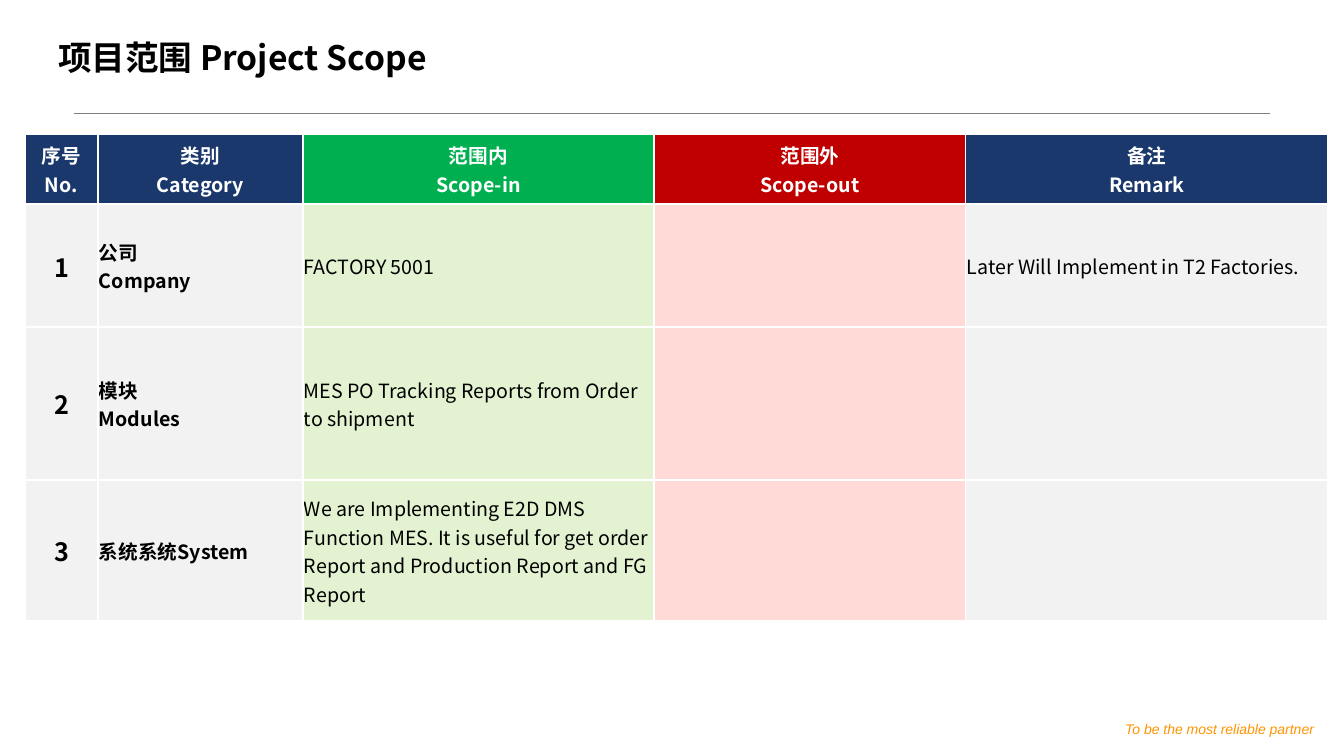
from lxml import etree
from pptx import Presentation
from pptx import util as u
from pptx.dml.color import RGBColor
from pptx.enum import shapes, text
from pptx.oxml import ns

PX = 914400 / 100.8  # EMU per px
CJK = "Noto Sans CJK SC"

BLACK = RGBColor(0x00, 0x00, 0x00)
WHITE = RGBColor(0xFF, 0xFF, 0xFF)
RULE_GREY = RGBColor(0x80, 0x80, 0x80)
ORANGE = RGBColor(0xFF, 0x93, 0x00)
NAVY = RGBColor(0x1A, 0x38, 0x6B)
GREEN = RGBColor(0x00, 0xB0, 0x50)
RED = RGBColor(0xC0, 0x00, 0x00)
PALE_GREY = RGBColor(0xF2, 0xF2, 0xF2)
PALE_GREEN = RGBColor(0xE3, 0xF3, 0xD1)
PALE_RED = RGBColor(0xFF, 0xDA, 0xD7)

HEADER_FILLS = [NAVY, NAVY, GREEN, RED, NAVY]
BODY_FILLS = [PALE_GREY, PALE_GREY, PALE_GREEN, PALE_RED, PALE_GREY]
COLUMN_WIDTHS = [73, 205, 351, 312, 362]
ROW_HEIGHTS = [70, 123, 153, 141]
SCOPE = [
    ["序号\nNo.", "类别\nCategory", "范围内\nScope-in", "范围外\nScope-out", "备注\nRemark"],
    ["1", "公司\nCompany", "FACTORY 5001", "", "Later Will Implement in T2 Factories."],
    ["2", "模块\nModules", "MES PO Tracking Reports from Order to shipment", "", ""],
    ["3", "系统系统System",
     "We are Implementing E2D DMS Function MES. It is useful for get order "
     "Report and Production Report and FG Report", "", ""],
]


def px(length):
    return u.Emu(round(length * PX))


def style(paragraph, name, size, color, bold=False, italic=False, align=None):
    paragraph.alignment = align
    font = paragraph.font
    font.size, font.bold, font.italic = u.Pt(size), bold, italic
    font.color.rgb = color
    font.name = name
    # East Asian characters take their own typeface entry
    defaults = paragraph._p.pPr.find(ns.qn("a:defRPr"))
    etree.SubElement(defaults, ns.qn("a:ea"), typeface=name)


def add_label(slide, left, top, width, height, wording, wrap, anchor, inset):
    label = slide.shapes.add_textbox(px(left), px(top), px(width), px(height))
    frame = label.text_frame
    frame.word_wrap, frame.vertical_anchor = wrap, anchor
    frame.margin_left = frame.margin_right = px(inset)
    frame.margin_top = frame.margin_bottom = px(min(inset, 7))
    frame.text = wording
    return frame.paragraphs[0]


def add_heading(slide, left, top, width, height):
    title = add_label(slide, left, top, width, height, "项目范围 Project Scope",
                      True, text.MSO_ANCHOR.BOTTOM, 10)
    style(title, CJK, 24, BLACK, bold=True)
    title.line_spacing = 0.9
    # Rule below the title
    rule_y = px(top + 100)
    rule = slide.shapes.add_connector(shapes.MSO_CONNECTOR.STRAIGHT,
                                      px(left + 26), rule_y, px(left + 1222), rule_y)
    rule.line.color.rgb = RULE_GREY
    rule.line.width = u.Pt(0.25)
    etree.SubElement(rule._element.spPr, ns.qn("a:effectLst"))


def add_borders(cell, is_header):
    properties = cell._tc.get_or_add_tcPr()
    widths = {"lnL": 1, "lnR": 1, "lnT": 1 if is_header else 1.5, "lnB": 1.5}
    for position, (side, width) in enumerate(widths.items()):
        border = etree.Element(ns.qn(f"a:{side}"), w=str(int(u.Pt(width))))
        fill = etree.SubElement(border, ns.qn("a:solidFill"))
        etree.SubElement(fill, ns.qn("a:srgbClr"), val=str(WHITE))
        properties.insert(position, border)


def fill_cell(cell, wording, row, column):
    is_header = row == 0
    cell.fill.solid()
    cell.fill.fore_color.rgb = (HEADER_FILLS if is_header else BODY_FILLS)[column]
    add_borders(cell, is_header)
    if not wording:
        return
    cell.vertical_anchor = text.MSO_ANCHOR.MIDDLE
    cell.margin_left = cell.margin_right = cell.margin_top = px(1)
    cell.margin_bottom = 0
    cell.text_frame.text = wording
    centred = is_header or column == 0
    for paragraph in cell.text_frame.paragraphs:
        style(paragraph, CJK,
              size=18 if column == 0 and not is_header else 14,
              color=WHITE if is_header else BLACK,
              bold=is_header or column < 2,
              align=text.PP_ALIGN.CENTER if centred else text.PP_ALIGN.LEFT)


def add_scope_table(slide, left, top):
    frame = slide.shapes.add_table(len(ROW_HEIGHTS), len(COLUMN_WIDTHS), px(left), px(top),
                                   px(sum(COLUMN_WIDTHS)), px(sum(ROW_HEIGHTS)))
    scope = frame.table
    for column, width in zip(scope.columns, COLUMN_WIDTHS):
        column.width = px(width)
    for row, height in zip(scope.rows, ROW_HEIGHTS):
        row.height = px(height)
    for r, wordings in enumerate(SCOPE):
        for c, wording in enumerate(wordings):
            fill_cell(scope.cell(r, c), wording, r, c)


def add_tagline(slide, left, top, width, height):
    tagline = add_label(slide, left, top, width, height, "To be the most reliable partner",
                        False, text.MSO_ANCHOR.TOP, 7)
    style(tagline, "Arial", 10, ORANGE, italic=True, align=text.PP_ALIGN.CENTER)


def main():
    deck = Presentation()
    deck.slide_width, deck.slide_height = px(1344), px(756)
    slide = deck.slides.add_slide(deck.slide_layouts[6])
    add_heading(slide, 48, 13, 1196, 72)
    add_scope_table(slide, 25, 134)
    add_tagline(slide, 1117, 714, 205, 30)
    deck.save("out.pptx")


if __name__ == "__main__":
    main()
